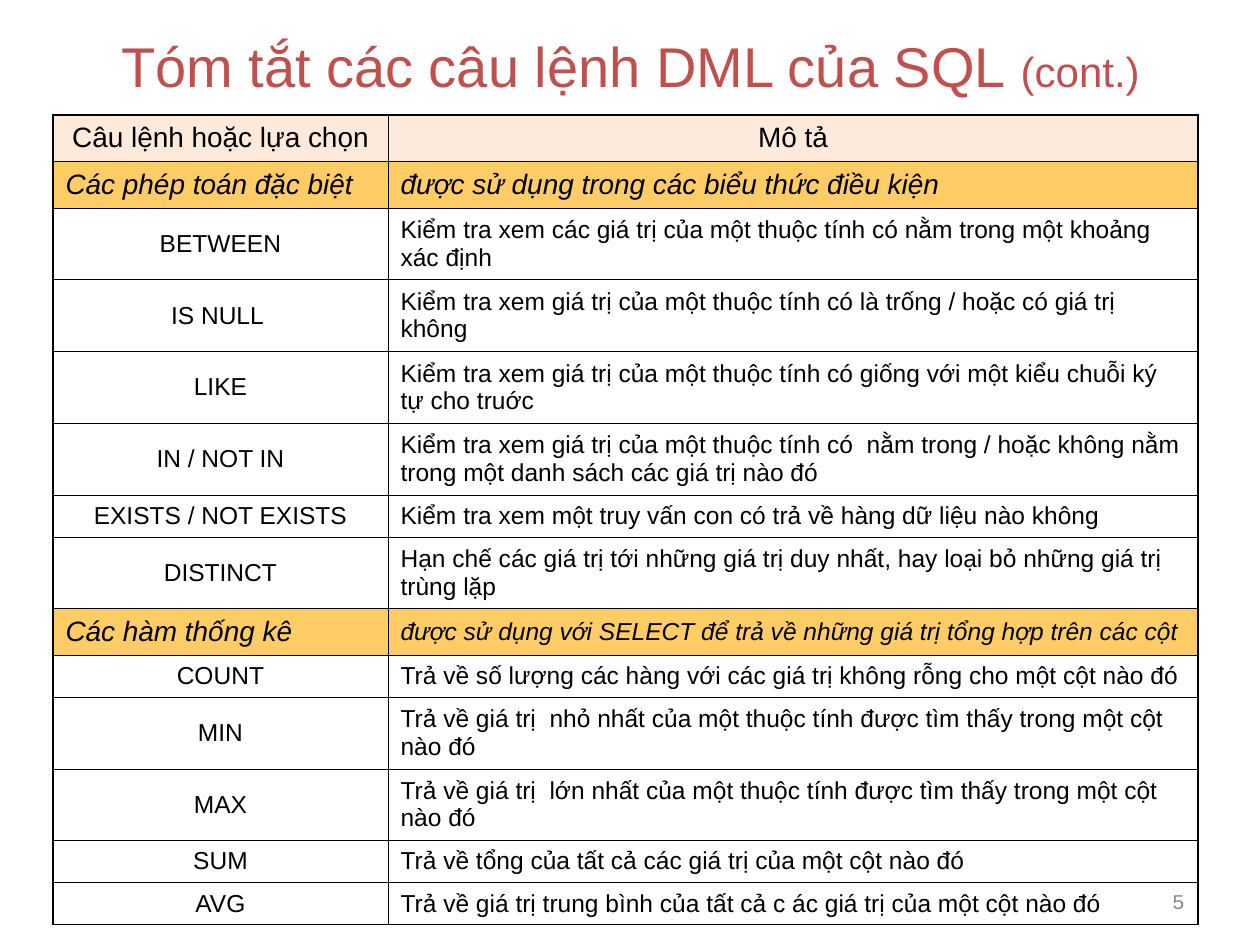
from dataclasses import dataclass

from lxml.etree import SubElement
from pptx import Presentation
from pptx.dml.color import RGBColor
from pptx.enum.text import MSO_ANCHOR as Anchor, PP_ALIGN as Align
from pptx.oxml.ns import qn
from pptx.util import Emu, Pt

PX = 914400 // 126
FONT = "Arial"
BLACK, RED, GRAY = "000000", "C0504D", "898989"
HEADER_FILL, SECTION_FILL = "FDEADA", "FFCC66"
OUTER_LINE, INNER_LINE = 1.08, 0.45
COLUMN_WIDTHS = (335, 810)


@dataclass(frozen=True)
class RowStyle:
    fill: str | None
    sizes: tuple[int, int]
    alignments: tuple[Align, Align]
    italic: bool = False


@dataclass(frozen=True)
class Row:
    style: RowStyle
    height: int
    command: str
    description: str


HEADER = RowStyle(HEADER_FILL, (16, 16), (Align.CENTER, Align.CENTER))
SECTION = RowStyle(SECTION_FILL, (16, 16), (Align.LEFT, Align.LEFT), italic=True)
LONG_SECTION = RowStyle(SECTION_FILL, (16, 14), (Align.LEFT, Align.LEFT), italic=True)
BODY = RowStyle(None, (14, 14), (Align.CENTER, Align.LEFT))

ROWS = (
    Row(HEADER, 46, "Câu lệnh hoặc lựa chọn", "Mô tả"),
    Row(SECTION, 47, "Các phép toán đặc biệt", "được sử dụng trong các biểu thức điều kiện"),
    Row(BODY, 71, "BETWEEN",
        "Kiểm tra xem các giá trị của một thuộc tính có nằm trong một khoảng xác định"),
    Row(BODY, 72, "IS NULL ",
        "Kiểm tra xem giá trị của một thuộc tính có là trống / hoặc có giá trị không"),
    Row(BODY, 71, "LIKE",
        "Kiểm tra xem giá trị của một thuộc tính có giống với một kiểu chuỗi ký tự cho truớc"),
    Row(BODY, 72, "IN / NOT IN",
        "Kiểm tra xem giá trị của một thuộc tính có  nằm trong / hoặc không nằm trong "
        "một danh sách các giá trị nào đó"),
    Row(BODY, 42, "EXISTS / NOT EXISTS",
        "Kiểm tra xem một truy vấn con có trả về hàng dữ liệu nào không"),
    Row(BODY, 71, "DISTINCT",
        "Hạn chế các giá trị tới những giá trị duy nhất, hay loại bỏ những giá trị trùng lặp"),
    Row(LONG_SECTION, 46, "Các hàm thống kê",
        "được sử dụng với SELECT để trả về những giá trị tổng hợp trên các cột"),
    Row(BODY, 42, "COUNT",
        "Trả về số lượng các hàng với các giá trị không rỗng cho một cột nào đó"),
    Row(BODY, 72, "MIN",
        "Trả về giá trị  nhỏ nhất của một thuộc tính được tìm thấy trong một cột nào đó"),
    Row(BODY, 71, "MAX",
        "Trả về giá trị  lớn nhất của một thuộc tính được tìm thấy trong một cột nào đó"),
    Row(BODY, 42, "SUM", "Trả về tổng của tất cả các giá trị của một cột nào đó"),
    Row(BODY, 42, "AVG",
        "Trả về giá trị trung bình của tất cả c ác giá trị của một cột nào đó"),
)


def px(length: int) -> Emu:
    return Emu(length * PX)


def color(hex_value: str) -> RGBColor:
    return RGBColor.from_string(hex_value)


def style_font(font, size: int, hex_value: str = BLACK, name: str = FONT) -> None:
    font.name = name
    font.size = Pt(size)
    font.color.rgb = color(hex_value)


def add_text_box(slide, left: int, top: int, width: int, height: int, alignment: Align):
    """Add a wrapping, vertically centred box and return its shape."""
    shape = slide.shapes.add_textbox(px(left), px(top), px(width), px(height))
    frame = shape.text_frame
    frame.word_wrap = True
    frame.vertical_anchor = Anchor.MIDDLE
    frame.paragraphs[0].alignment = alignment
    return shape


def add_title(slide) -> None:
    shape = add_text_box(slide, 95, 21, 1071, 89, Align.CENTER)
    paragraph = shape.text_frame.paragraphs[0]
    for text, size in (("Tóm tắt các câu lệnh DML của SQL ", 32), ("(cont.)", 24)):
        run = paragraph.add_run()
        run.text = text
        style_font(run.font, size, RED)


def add_page_number(slide) -> None:
    shape = add_text_box(slide, 903, 876, 294, 50, Align.RIGHT)
    paragraph = shape.text_frame.paragraphs[0]
    paragraph.text = "5"
    style_font(paragraph.font, 12, GRAY, "Courier New")


def set_borders(cell, outer_sides: dict[str, bool]) -> None:
    """Draw all four sides, heavier where the side is on the table's edge."""
    properties = cell._tc.get_or_add_tcPr()
    for index, (side, is_outer) in enumerate(outer_sides.items()):
        width = Pt(OUTER_LINE if is_outer else INNER_LINE)
        line = SubElement(properties, qn(f"a:ln{side}"), w=str(width))
        fill = SubElement(line, qn("a:solidFill"))
        SubElement(fill, qn("a:srgbClr"), val=BLACK)
        properties.insert(index, line)


def fill_cell(cell, text: str, style: RowStyle, column: int) -> None:
    cell.vertical_anchor = Anchor.MIDDLE
    if style.fill:
        cell.fill.solid()
        cell.fill.fore_color.rgb = color(style.fill)
    else:
        cell.fill.background()
    paragraph = cell.text_frame.paragraphs[0]
    paragraph.text = text
    paragraph.alignment = style.alignments[column]
    style_font(paragraph.font, style.sizes[column])
    paragraph.font.italic = style.italic


def add_command_table(slide) -> None:
    height = sum(row.height for row in ROWS)
    frame = slide.shapes.add_table(len(ROWS), len(COLUMN_WIDTHS), px(53), px(115),
                                   px(sum(COLUMN_WIDTHS)), px(height))
    table = frame.table
    table.first_row = table.horz_banding = False
    for column, width in enumerate(COLUMN_WIDTHS):
        table.columns[column].width = px(width)
    last_row, last_column = len(ROWS) - 1, len(COLUMN_WIDTHS) - 1
    for index, row in enumerate(ROWS):
        table.rows[index].height = px(row.height)
        for column, text in enumerate((row.command, row.description)):
            cell = table.cell(index, column)
            fill_cell(cell, text, row.style, column)
            set_borders(cell, {"L": column == 0, "R": column == last_column,
                               "T": index == 0, "B": index == last_row})


def main() -> None:
    presentation = Presentation()
    presentation.slide_width, presentation.slide_height = px(1260), px(945)
    slide = presentation.slides.add_slide(presentation.slide_layouts[6])
    add_title(slide)
    add_command_table(slide)
    add_page_number(slide)
    presentation.save("out.pptx")


if __name__ == "__main__":
    main()
